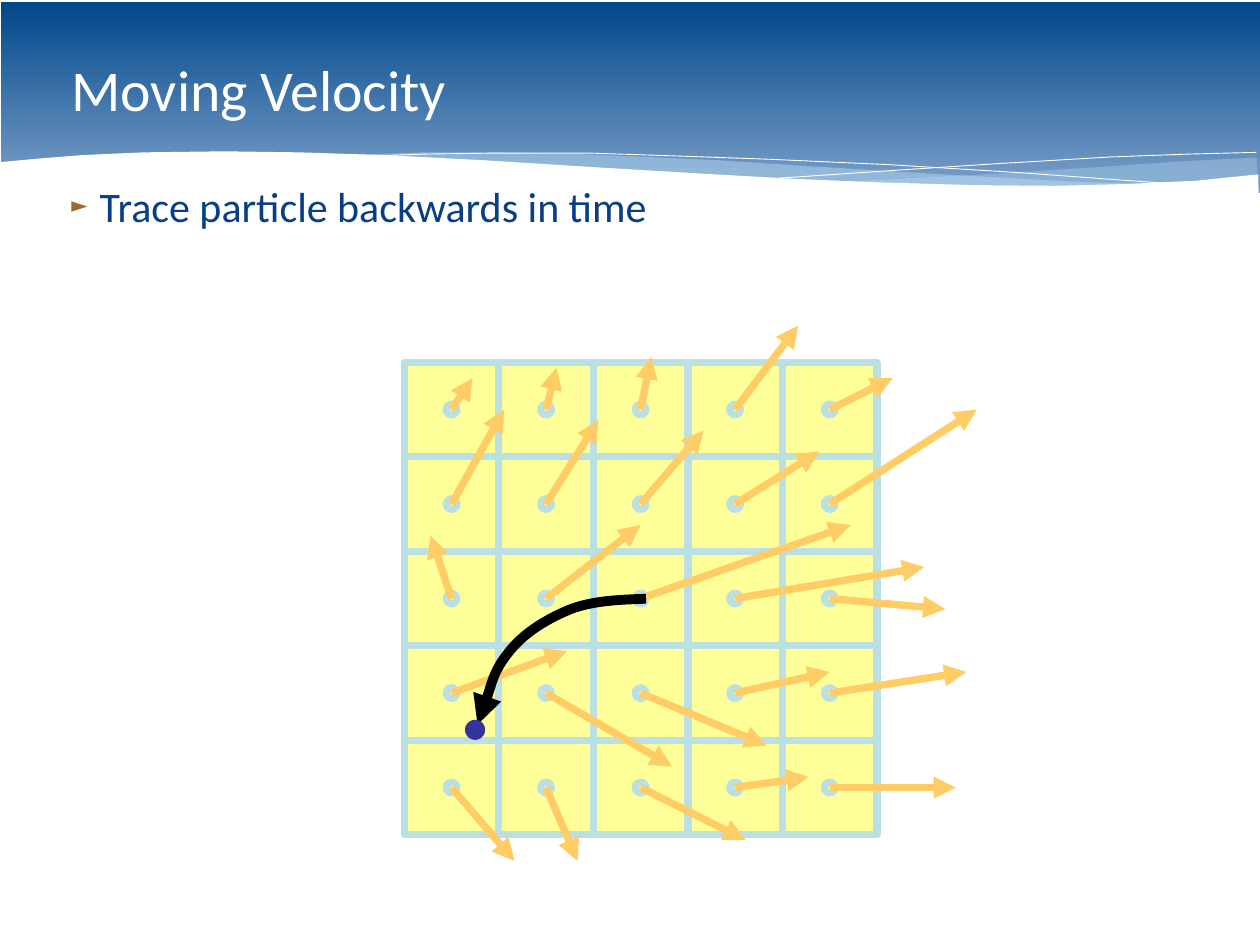
from itertools import product

from lxml import etree
from pptx import Presentation
from pptx.dml.color import RGBColor
from pptx.enum.shapes import MSO_CONNECTOR, MSO_SHAPE
from pptx.enum.text import MSO_ANCHOR
from pptx.oxml.ns import qn
from pptx.util import Cm, Pt

WIDTH, HEIGHT = 36.12, 27.1
FONT = "Calibri"
WHITE, NAVY, BROWN = "FFFFFF", "073E87", "9C6B29"
CELL_FILL, CELL_LINE, VELOCITY = "FFFF99", "BBE0E3", "FFCC66"

# Wave outlines of the header, in cm from its top left corner
RIGHT_WAVE = [
    (36.02, 4.52), (33.96, 4.62), (31.67, 4.78), (28.58, 4.98), (25.83, 5.13),
    (24.13, 5.21), (25.78, 5.26), (27.76, 5.31), (29.51, 5.33), (31.06, 5.33),
    (32.77, 5.28), (34.52, 5.16), (36.04, 5)]
MIDDLE_WAVE = [
    (32.89, 5.28), (30.78, 5.21), (28.45, 5.08), (25.83, 4.93), (22.91, 4.75),
    (20.65, 4.6), (18.57, 4.5), (16.69, 4.42), (14.22, 4.37), (12.14, 4.37),
    (9.96, 4.45), (12.07, 4.52), (14.43, 4.65), (17.68, 4.85), (20.55, 5.03),
    (23.11, 5.16), (25.4, 5.26), (27.43, 5.31), (29.64, 5.33), (31.57, 5.33)]
FALLING_EDGE = [
    (10.82, 4.47), (12.12, 4.42), (14.3, 4.39), (16.87, 4.39), (19.28, 4.47),
    (22.12, 4.57), (25.43, 4.72), (29.21, 4.95), (33.45, 5.26)]
RISING_EDGE = [
    (22.33, 5.11), (25.43, 4.9), (28.5, 4.7), (31.88, 4.5), (34.06, 4.42),
    (36.02, 4.37)]
PAGE_EDGE = [
    (36.07, 5), (34.32, 5.18), (32.23, 5.28), (30.25, 5.33), (27.91, 5.31),
    (25.17, 5.23), (22.78, 5.13), (20.12, 4.98), (17.12, 4.8), (13.92, 4.6),
    (11.05, 4.45), (8.59, 4.37), (6.43, 4.34), (4.11, 4.37), (2.34, 4.45),
    (1.09, 4.55), (0, 4.65), (0, 5.87), (36.09, 5.87)]

# Velocity of each cell, row by row, in ninths of a cell
VELOCITIES = [
    [(2, -3), (1, -4), (1, -5), (6, -8), (6, -3)],
    [(5, -9), (5, -8), (6, -7), (8, -5), (14, -9)],
    [(-2, -6), (9, -7), (20, -7), (18, -3), (11, 1)],
    [(11, -4), (12, 7), (12, 5), (9, -2), (13, -2)],
    [(6, 7), (3, 7), (10, 5), (7, -1), (12, 0)]]

# Curve of the traced particle, in cm from the grid's top left corner
TRACE = [
    (6.93, 6.78), (6.19, 6.81), (5.48, 6.83), (4.82, 7.06), (4.16, 7.32),
    (3.47, 7.72), (3.02, 8.28), (2.56, 8.84), (2.25, 10.03), (2.1, 10.39)]


def color(hex_text):
    return RGBColor.from_string(hex_text)


def style(shape, fill=None, line=None, points=0):
    shape.shadow.inherit = False
    if fill:
        shape.fill.solid()
        shape.fill.fore_color.rgb = color(fill)
    else:
        shape.fill.background()
    if line:
        shape.line.color.rgb = color(line)
        shape.line.width = Pt(points)
    else:
        shape.line.fill.background()


def add_preset(page, kind, left, top, width, height, *look):
    shape = page.shapes.add_shape(kind, Cm(left), Cm(top), Cm(width), Cm(height))
    style(shape, *look)
    return shape


def add_outline(page, left, top, points, closed, *look):
    corners = [(Cm(left + x), Cm(top + y)) for x, y in points]
    builder = page.shapes.build_freeform(*corners[0], scale=1.0)
    builder.add_line_segments(corners[1:], close=closed)
    shape = builder.convert_to_shape()
    style(shape, *look)
    return shape


def add_arrowhead(line):
    etree.SubElement(line.line._get_or_add_ln(), qn("a:tailEnd"), type="triangle")


def add_text(page, box, text, size, hex_text, anchor):
    frame = page.shapes.add_textbox(*map(Cm, box)).text_frame
    frame.word_wrap = True
    frame.vertical_anchor = anchor
    para = frame.paragraphs[0]
    para.text = text
    span = para.runs[0]
    span.font.name, span.font.size = FONT, Pt(size)
    span.font.color.rgb = color(hex_text)
    return para


def draw_header(page, left, top, width, height):
    # Gradient band
    band = add_preset(page, MSO_SHAPE.RECTANGLE, left + 0.03, top + 0.05,
                      width - 0.03, height, WHITE)
    band.fill.gradient()
    band.fill.gradient_angle = 270
    for stop, position, shade in zip(band.fill.gradient_stops, (0, 0.9),
                                     ("00478A", "7198C3")):
        stop.position = position
        stop.color.rgb = color(shade)

    # Translucent waves, their edges and the white page edge
    for points, opacity in ((RIGHT_WAVE, 29), (MIDDLE_WAVE, 40)):
        wave = add_outline(page, left, top, points, True, "C6E7FC")
        shade = wave.fill._xPr.find(".//" + qn("a:srgbClr"))
        etree.SubElement(shade, qn("a:alpha"), val=str(opacity * 1000))
    for points in (FALLING_EDGE, RISING_EDGE):
        add_outline(page, left, top, points, False, None, WHITE, 0)
    add_outline(page, left, top, PAGE_EDGE, True, WHITE)

    # Title
    add_text(page, (left + 1.8, top + 0.58, width - 3.6, 3.94),
             "Moving Velocity", 46.9, WHITE, MSO_ANCHOR.MIDDLE)


def draw_body(page, *box):
    para = add_text(page, box, "Trace particle backwards in time", 34.1, NAVY,
                    MSO_ANCHOR.TOP)
    layout = para._p.get_or_add_pPr()
    layout.set("marL", str(Cm(0.81)))
    layout.set("indent", str(-Cm(0.81)))
    bullet_color = etree.SubElement(layout, qn("a:buClr"))
    etree.SubElement(bullet_color, qn("a:srgbClr"), val=BROWN)
    etree.SubElement(layout, qn("a:buSzPct"), val="50000")
    etree.SubElement(layout, qn("a:buFont"), typeface=FONT)
    etree.SubElement(layout, qn("a:buChar"), char="►")


def draw_velocity_grid(page, left, top, size):
    count = len(VELOCITIES)
    cell, dot = size / count, 0.3
    places = [(row, column, left + (column + 0.5) * cell, top + (row + 0.5) * cell)
              for row, column in product(range(count), repeat=2)]

    # Cells with their centre dots
    for row, column, x, y in places:
        for kind, side in ((MSO_SHAPE.RECTANGLE, cell), (MSO_SHAPE.OVAL, dot)):
            add_preset(page, kind, x - side / 2, y - side / 2, side, side,
                       CELL_FILL, CELL_LINE, 6)

    # Velocity arrows
    for row, column, x, y in places:
        across, down = VELOCITIES[row][column]
        arrow = page.shapes.add_connector(
            MSO_CONNECTOR.STRAIGHT, Cm(x), Cm(y),
            Cm(x + across * cell / 9), Cm(y + down * cell / 9))
        arrow.line.color.rgb = color(VELOCITY)
        arrow.line.width = Pt(6)
        add_arrowhead(arrow)
        etree.SubElement(arrow._element.spPr, qn("a:effectLst"))

    # Backward trace: every three points become one Bézier curve
    trace = add_outline(page, left, top, TRACE, False, None, "000000", 8)
    add_arrowhead(trace)
    route = trace._element.find(".//" + qn("a:path"))
    steps = route.findall(qn("a:lnTo"))
    for first in range(0, len(steps), 3):
        curve = etree.SubElement(route, qn("a:cubicBezTo"))
        for step in steps[first:first + 3]:
            curve.append(step[0])
            route.remove(step)

    # Particle at its earlier place
    add_preset(page, MSO_SHAPE.OVAL, left + 1.88, top + 10.39, dot, dot,
               "333399", "333399", 8)


def main():
    deck = Presentation()
    deck.slide_width, deck.slide_height = Cm(WIDTH), Cm(HEIGHT)
    page = deck.slides.add_slide(deck.slide_layouts[6])
    draw_header(page, 0, 0, WIDTH, 5.49)
    draw_body(page, 1.8, 5.05, WIDTH - 3.6, 20.04)
    draw_velocity_grid(page, 11.59, 10.39, 13.55)
    deck.save("out.pptx")


if __name__ == "__main__":
    main()
